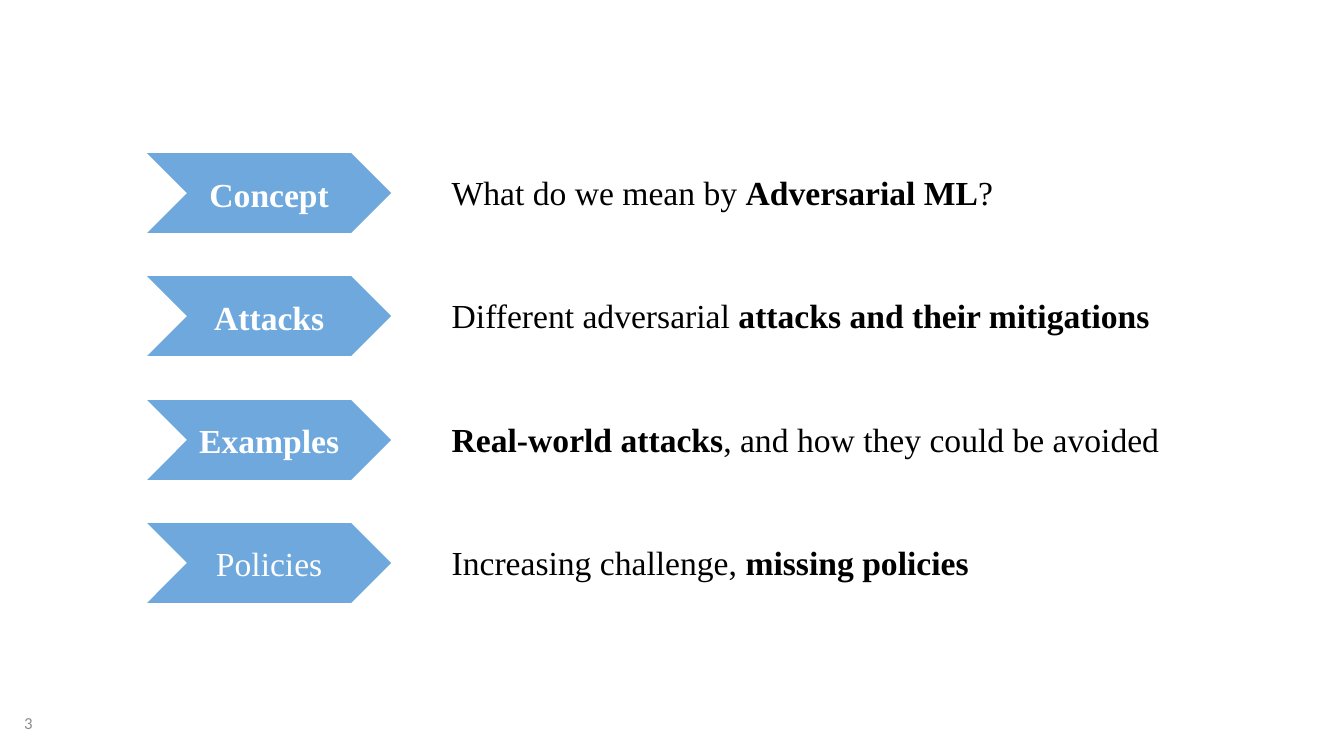
from pptx import Presentation
from pptx.dml.color import RGBColor
from pptx.enum.shapes import MSO_SHAPE
from pptx.enum.text import MSO_ANCHOR, PP_ALIGN

CHEVRON = MSO_SHAPE.CHEVRON
TOP = MSO_ANCHOR.TOP
MIDDLE = MSO_ANCHOR.MIDDLE
LEFT = PP_ALIGN.LEFT
CENTER = PP_ALIGN.CENTER
EMU_PER_PX = 9144
EMU_PER_POINT = 12700

FIRST_ROW_TOP = 152
LAST_ROW_TOP = 519
SENTENCE_OFFSET = 19

AGENDA = [
    ("Concept", True, 639,
     [("What do we mean by ", False), ("Adversarial ML", True), ("?", False)]),
    ("Attacks", True, 739,
     [("Different adversarial ", False), ("attacks and their mitigations", True)]),
    ("Examples", True, 739,
     [("Real-world attacks", True), (", and how they could be avoided", False)]),
    ("Policies", False, 606,
     [("Increasing challenge, ", False), ("missing policies", True)]),
]


def px(length):
    return length * EMU_PER_PX


def color(hex_code):
    return RGBColor.from_string(hex_code)


class AgendaSlide:
    serif = "Times New Roman"
    sans = "Calibri"
    blue = "6EA8DC"
    white = "FFFFFF"
    black = "000000"
    gray = "8C8C8C"
    body_size = 24
    number_size = 12

    def __init__(self, deck):
        self.slide = deck.slides.add_slide(deck.slide_layouts[6])

    def add_text(self, shape, spans, font, size, ink, align, anchor, insets):
        frame = shape.text_frame
        frame.word_wrap = True
        frame.vertical_anchor = anchor
        (frame.margin_left, frame.margin_top,
         frame.margin_right, frame.margin_bottom) = map(px, insets)
        para = frame.paragraphs[0]
        para.alignment = align
        for text, bold in spans:
            span = para.add_run()
            span.text = text
            span.font.name = font
            span.font.size = size * EMU_PER_POINT
            span.font.bold = bold
            span.font.color.rgb = color(ink)

    def chevron(self, left, top, width, height, label, bold):
        shape = self.slide.shapes.add_shape(
            CHEVRON, px(left), px(top), px(width), px(height))
        shape.shadow.inherit = False
        shape.fill.solid()
        shape.fill.fore_color.rgb = color(self.blue)
        shape.line.fill.background()
        self.add_text(shape, [(label, bold)], self.serif, self.body_size,
                      self.white, CENTER, MIDDLE, (10, 6, 10, 5))

    def sentence(self, left, top, width, height, spans):
        box = self.slide.shapes.add_textbox(
            px(left), px(top), px(width), px(height))
        self.add_text(box, spans, self.serif, self.body_size,
                      self.black, LEFT, TOP, (0, 0, 0, 0))

    def page_number(self, left, top, width, height, number):
        box = self.slide.shapes.add_textbox(
            px(left), px(top), px(width), px(height))
        self.add_text(box, [(number, False)], self.sans, self.number_size,
                      self.gray, LEFT, MIDDLE, (10, 5, 10, 5))


def main():
    deck = Presentation()
    deck.slide_width = px(1333)
    deck.slide_height = px(750)
    page = AgendaSlide(deck)
    page.page_number(14, 697, 300, 40, "3")
    row_span = LAST_ROW_TOP - FIRST_ROW_TOP
    for row, (label, bold, width, spans) in enumerate(AGENDA):
        top = FIRST_ROW_TOP + round(row * row_span / (len(AGENDA) - 1))
        page.chevron(146, top, 242, 79, label, bold)
        page.sentence(448, top + SENTENCE_OFFSET, width, 40, spans)
    deck.save("out.pptx")


if __name__ == "__main__":
    main()
